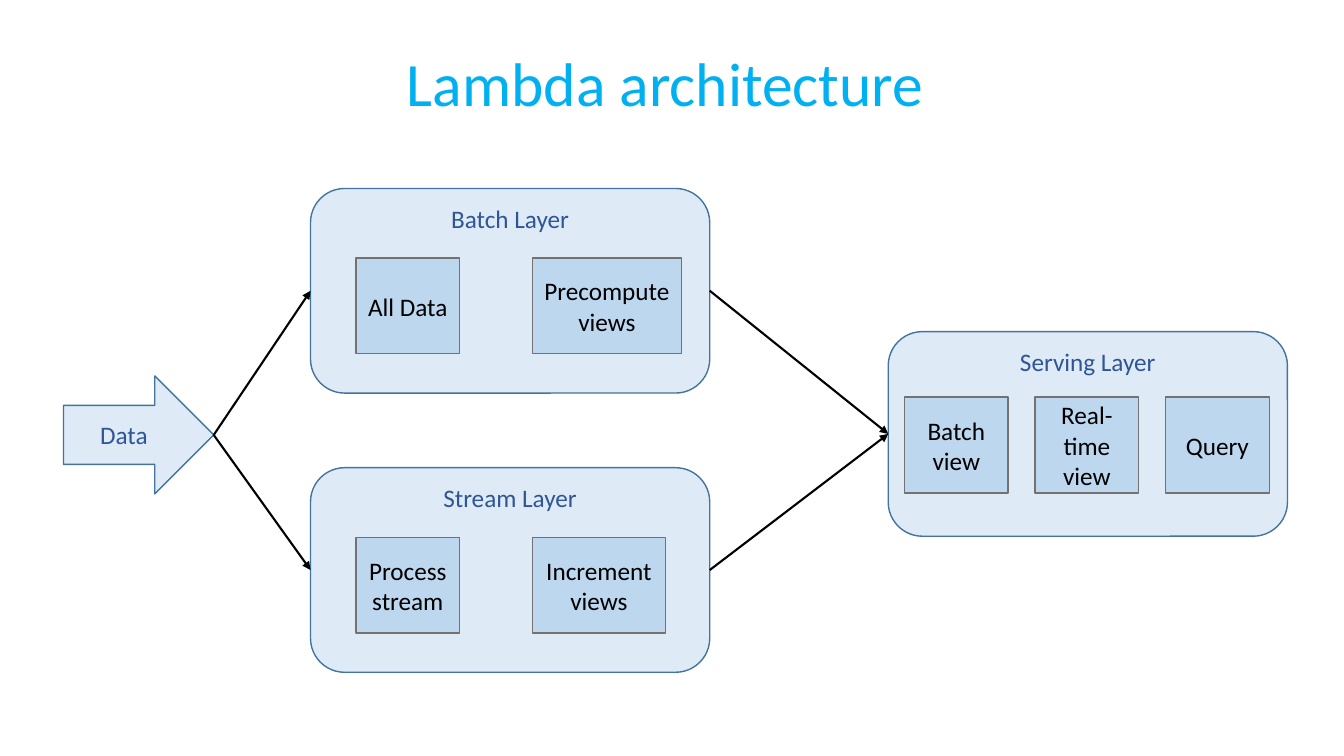
import pptx
import pptx.dml.color
import pptx.enum.shapes
import pptx.enum.text
import pptx.oxml
import pptx.oxml.ns
import pptx.util

Inches = pptx.util.Inches
RGBColor = pptx.dml.color.RGBColor
Shape = pptx.enum.shapes.MSO_SHAPE
Anchor = pptx.enum.text.MSO_ANCHOR

TITLE_BLUE = RGBColor(0x00, 0xB0, 0xF0)
LABEL_BLUE = RGBColor(0x2F, 0x55, 0x97)
LAYER_FILL = RGBColor(0xDE, 0xEB, 0xF7)
LAYER_LINE = RGBColor(0x43, 0x73, 0x9E)
STEP_FILL = RGBColor(0xBD, 0xD7, 0xEE)
STEP_LINE = RGBColor(0x76, 0x71, 0x71)
BLACK = RGBColor(0x00, 0x00, 0x00)

LAYER_WIDTH, LAYER_HEIGHT = 3.96, 2.03
STEP_WIDTH, STEP_HEIGHT = 1.03, 0.95
LEFT_SITE, RIGHT_SITE = 1, 3


def write_text(shape, text, size=18, color=BLACK, anchor=Anchor.MIDDLE, spacing=1.0):
    """Write one centred paragraph into a shape."""
    frame = shape.text_frame
    frame.word_wrap = True
    frame.vertical_anchor = anchor
    paragraph = frame.paragraphs[0]
    paragraph.alignment = pptx.enum.text.PP_ALIGN.CENTER
    paragraph.line_spacing = spacing
    run = paragraph.add_run()
    run.text = text
    run.font.name = "Calibri"
    run.font.size = pptx.util.Pt(size)
    run.font.color.rgb = color


def add_block(slide, kind, box, text, fill=LAYER_FILL, line=LAYER_LINE, **text_format):
    """Add a filled and outlined shape with a label."""
    shape = slide.shapes.add_shape(kind, *map(Inches, box))
    shape.shadow.inherit = False
    shape.fill.solid()
    shape.fill.fore_color.rgb = fill
    shape.line.color.rgb = line
    shape.line.width = pptx.util.Pt(1)
    write_text(shape, text, **text_format)
    return shape


def add_title(slide, box, text):
    """Add the slide title."""
    title = slide.shapes.add_textbox(*map(Inches, box))
    write_text(title, text, size=44, color=TITLE_BLUE, spacing=0.9)


def add_layer(slide, left, top, name, steps, step_top):
    """Add a layer with steps given as text, left offset and width."""
    layer = add_block(slide, Shape.ROUNDED_RECTANGLE,
                      (left, top, LAYER_WIDTH, LAYER_HEIGHT), name,
                      color=LABEL_BLUE, anchor=Anchor.TOP)
    for text, offset, width in steps:
        add_block(slide, Shape.RECTANGLE,
                  (left + offset, top + step_top, width, STEP_HEIGHT), text,
                  fill=STEP_FILL, line=STEP_LINE)
    return layer


def add_arrow(slide, source, target):
    """Connect the right side of one shape to the left side of another."""
    arrow = slide.shapes.add_connector(
        pptx.enum.shapes.MSO_CONNECTOR.STRAIGHT, 0, 0, 0, 0)
    arrow.begin_connect(source, RIGHT_SITE)
    arrow.end_connect(target, LEFT_SITE)
    arrow.line.color.rgb = BLACK
    arrow.line.width = pptx.util.Pt(1.5)
    head = pptx.oxml.parse_xml(
        f'<a:tailEnd {pptx.oxml.ns.nsdecls("a")} type="triangle"/>')
    arrow.line._get_or_add_ln().append(head)
    effects = pptx.oxml.parse_xml(f'<a:effectLst {pptx.oxml.ns.nsdecls("a")}/>')
    arrow._element.spPr.append(effects)


def add_diagram(slide, left, top):
    """Add the data arrow, the three layers and their connections."""
    data = add_block(slide, Shape.RIGHT_ARROW, (left, top + 1.86, 1.49, 1.17),
                     "Data", color=LABEL_BLUE)
    batch = add_layer(slide, left + 2.45, top, "Batch Layer",
                      [("All Data", 0.45, STEP_WIDTH),
                       ("Precompute views", 2.2, 1.48)], 0.69)
    stream = add_layer(slide, left + 2.45, top + 2.77, "Stream Layer",
                       [("Process stream", 0.45, STEP_WIDTH),
                        ("Increment views", 2.2, 1.32)], 0.69)
    views = ["Batch view", "Real-time view", "Query"]
    serving = add_layer(slide, left + 8.18, top + 1.42, "Serving Layer",
                        [(text, 0.16 + 1.295 * index, STEP_WIDTH)
                         for index, text in enumerate(views)], 0.65)
    for layer in (batch, stream):
        add_arrow(slide, data, layer)
        add_arrow(slide, layer, serving)


def main():
    """Build and save the presentation."""
    presentation = pptx.Presentation()
    presentation.slide_width = Inches(13.33)
    presentation.slide_height = Inches(7.5)
    slide = presentation.slides.add_slide(presentation.slide_layouts[6])
    add_title(slide, (0.85, 0.13, 11.5, 1.45), "Lambda architecture")
    add_diagram(slide, 0.63, 1.87)
    presentation.save("out.pptx")


if __name__ == "__main__":
    main()
